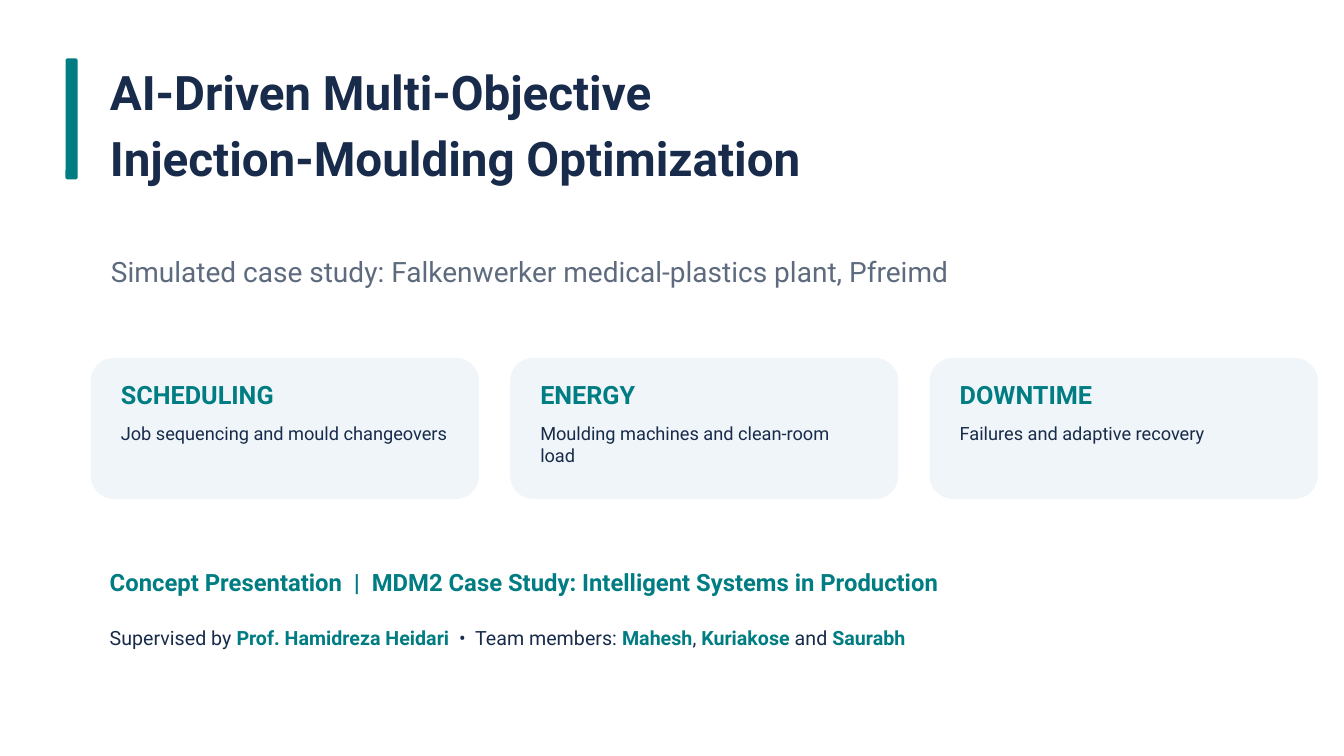
from pptx import Presentation
from pptx.dml.color import RGBColor
from pptx.enum.shapes import MSO_SHAPE
from pptx.enum.text import MSO_ANCHOR, MSO_AUTO_SIZE, PP_ALIGN
from pptx.util import Emu, Pt

EMU_PER_PX = 9144  # 100 px to the inch
FONT = "Roboto"
TEAL, NAVY, GREY, PALE = "007D83", "182B4B", "5E6B7E", "EFF5F8"

CARDS = [
    ("SCHEDULING", "Job sequencing and mould changeovers"),
    ("ENERGY", "Moulding machines and clean-room load"),
    ("DOWNTIME", "Failures and adaptive recovery"),
]
CARD_LEFT, CARD_TOP, CARD_WIDTH, CARD_HEIGHT = 90, 355, 385, 140
CARD_GAP, CARD_PADDING = 31, 20


def px(length):
    return Emu(length * EMU_PER_PX)


def color(hex_string):
    return RGBColor.from_string(hex_string)


def place(shape, left, top, width, height):
    shape.left, shape.top = px(left), px(top)
    shape.width, shape.height = px(width), px(height)


def fill_text(shape, paragraphs, size):
    """Each paragraph is a list of (text, colour, bold) runs."""
    frame = shape.text_frame
    frame.word_wrap = True
    frame.auto_size = MSO_AUTO_SIZE.NONE
    frame.vertical_anchor = MSO_ANCHOR.TOP
    for index, runs in enumerate(paragraphs):
        paragraph = frame.add_paragraph() if index else frame.paragraphs[0]
        paragraph.alignment = PP_ALIGN.LEFT
        paragraph.space_before = Pt(0)
        paragraph.space_after = Pt(7)
        for text, run_color, bold in runs:
            run = paragraph.add_run()
            run.text = text
            run.font.name = FONT
            run.font.size = Pt(size)
            run.font.bold = bold
            run.font.color.rgb = color(run_color)


def add_text(slide, left, top, width, height, runs, size):
    box = slide.shapes.add_textbox(px(left), px(top), px(width), px(height))
    fill_text(box, [runs], size)


def add_panel(slide, left, top, width, height, fill):
    panel = slide.shapes.add_shape(
        MSO_SHAPE.ROUNDED_RECTANGLE, px(left), px(top), px(width), px(height))
    panel.shadow.inherit = False
    panel.fill.solid()
    panel.fill.fore_color.rgb = color(fill)
    panel.line.fill.background()


def add_card(slide, left, heading, detail):
    add_panel(slide, left, CARD_TOP, CARD_WIDTH, CARD_HEIGHT, PALE)
    text_left = left + CARD_PADDING
    text_width = CARD_WIDTH - 2 * CARD_PADDING
    add_text(slide, text_left, CARD_TOP + 16, text_width, 39,
             [(heading, TEAL, True)], 18)
    add_text(slide, text_left, CARD_TOP + 59, text_width, 68,
             [(detail, NAVY, False)], 13)


def main():
    presentation = Presentation()
    presentation.slide_width, presentation.slide_height = px(1333), px(750)
    slide = presentation.slides.add_slide(presentation.slide_layouts[0])
    slide.background.fill.solid()
    slide.background.fill.fore_color.rgb = color("FFFFFF")

    # Title with accent bar, and subtitle
    add_panel(slide, 65, 58, 12, 120, TEAL)
    title, subtitle = slide.placeholders
    place(title, 99, 57, 970, 140)
    fill_text(title, [[("AI-Driven Multi-Objective", NAVY, True)],
                      [("Injection-Moulding Optimization", NAVY, True)]], 34)
    place(subtitle, 100, 247, 1120, 58)
    fill_text(subtitle, [[("Simulated case study: Falkenwerker "
                           "medical-plastics plant, Pfreimd", GREY, False)]], 20)

    # Three topic cards
    for index, (heading, detail) in enumerate(CARDS):
        add_card(slide, CARD_LEFT + index * (CARD_WIDTH + CARD_GAP),
                 heading, detail)

    # Course and team lines
    add_text(slide, 99, 558, 1100, 48,
             [("Concept Presentation  |  MDM2 Case Study: "
               "Intelligent Systems in Production", TEAL, True)], 17)
    add_text(slide, 99, 616, 1100, 34, [
        ("Supervised by ", NAVY, False),
        ("Prof. Hamidreza Heidari", TEAL, True),
        ("  •  Team members: ", NAVY, False),
        ("Mahesh", TEAL, True),
        (", ", NAVY, False),
        ("Kuriakose", TEAL, True),
        (" and ", NAVY, False),
        ("Saurabh", TEAL, True),
    ], 14)

    presentation.save("out.pptx")


if __name__ == "__main__":
    main()
